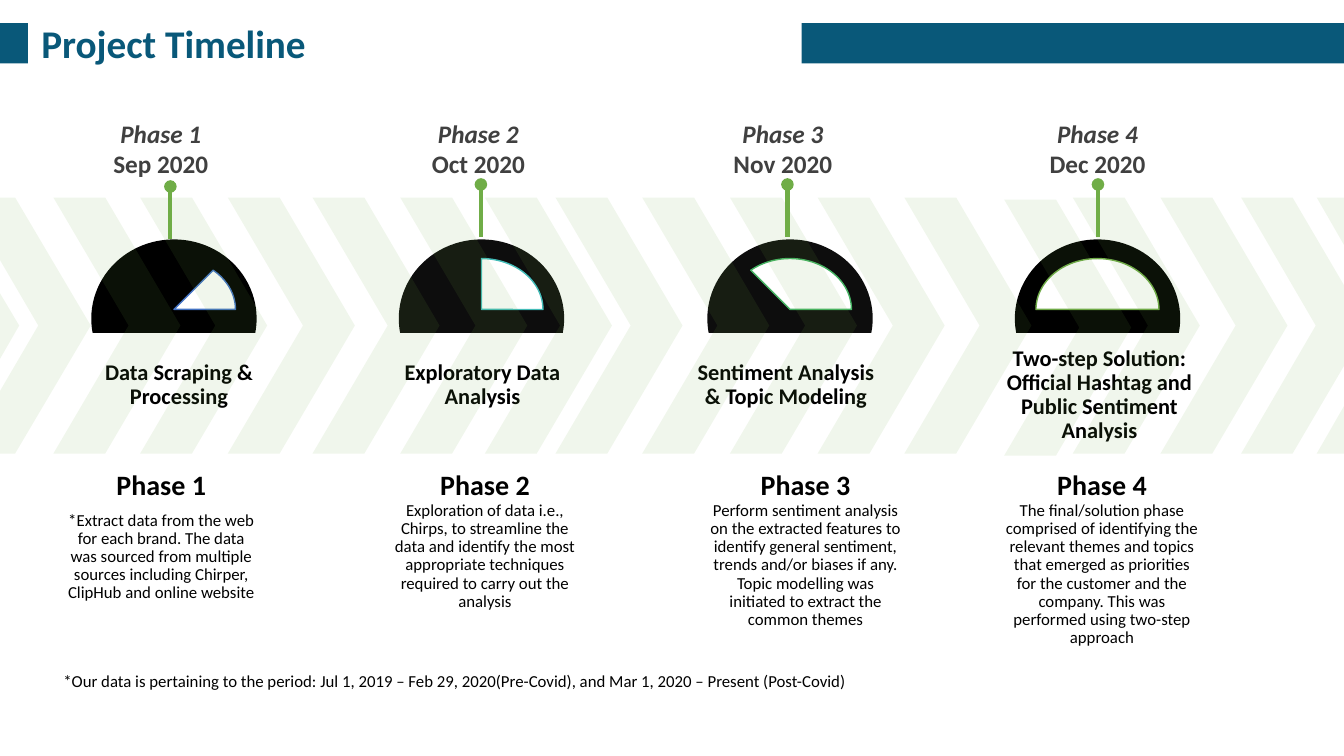
from lxml import etree
from pptx import Presentation, util as u
from pptx.dml.color import RGBColor
from pptx.enum import shapes, text
from pptx.oxml import ns

PX = 9144  # EMU per px, 100 px to the inch
FONT = "Calibri"
TEAL = RGBColor(0x09, 0x58, 0x79)
GREEN = RGBColor(0x70, 0xAD, 0x47)
WHITE = RGBColor(0xFF, 0xFF, 0xFF)
BLACK = RGBColor(0x00, 0x00, 0x00)
NEAR_BLACK = RGBColor(0x0D, 0x0D, 0x0D)
GREY = RGBColor(0x40, 0x40, 0x40)
BLUE = RGBColor(0x43, 0x72, 0xC3)
AQUA = RGBColor(0x43, 0xBC, 0xB8)
EMERALD = RGBColor(0x45, 0xB3, 0x63)
LEAF = RGBColor(0x6F, 0xAA, 0x47)

PRESET = shapes.MSO_SHAPE
CENTER = text.PP_ALIGN.CENTER
MIDDLE = text.MSO_ANCHOR.MIDDLE
TIGHT = {"alignment": CENTER, "line_spacing": 0.9}
CAPTION = {"size": u.Pt(16), "bold": True}
HEADING = {"size": u.Pt(20), "bold": True}
DETAIL = {"size": u.Pt(12), "bold": False}
PHASE = {"size": u.Pt(18), "bold": True, "italic": True, "color": GREY}
MONTH = {**PHASE, "italic": False}

prs = Presentation()
prs.slide_width, prs.slide_height = 1333 * PX, 750 * PX
slide = prs.slides.add_slide(prs.slide_layouts[5])
canvas = slide.shapes


def draw(preset, left, top, width, height, fill, adjust=(), rotation=0):
    """Add a flat, borderless preset shape."""
    item = canvas.add_shape(preset, left * PX, top * PX, width * PX, height * PX)
    item.shadow.inherit = False
    item.fill.solid()
    item.fill.fore_color.rgb = fill
    item.line.fill.background()
    item.rotation = rotation
    for index, value in enumerate(adjust):
        item.adjustments[index] = value
    return item


def write(left, top, width, height, lines, layout, margins=(0, 0), anchor=text.MSO_ANCHOR.TOP):
    """Add a text box holding (wording, font values) lines."""
    frame = canvas.add_textbox(left * PX, top * PX, width * PX, height * PX).text_frame
    frame.word_wrap = True
    frame.vertical_anchor = anchor
    frame.margin_left = frame.margin_right = margins[0] * PX
    frame.margin_top = frame.margin_bottom = margins[1] * PX
    for index, (wording, font) in enumerate(lines):
        line = frame.paragraphs[0] if index == 0 else frame.add_paragraph()
        for name, value in layout.items():
            setattr(line, name, value)
        run = line.add_run()
        run.text = wording
        run.font.name = FONT
        run.font.color.rgb = font.get("color", BLACK)
        for name in font.keys() - {"color"}:
            setattr(run.font, name, font[name])
    return frame


# Header: the bar lies behind the white title panel
header_bar = draw(PRESET.RECTANGLE, 0, 23, 1333, 40, TEAL)
title = canvas.title
title._element.addprevious(header_bar._element)
title.left, title.top, title.width, title.height = 28 * PX, 12 * PX, 767 * PX, 60 * PX
title.fill.solid()
title.fill.fore_color.rgb = WHITE
title_frame = title.text_frame
title_frame.text = "Project Timeline"
for name, value in {"margin_left": 13 * PX, "margin_right": 13 * PX, "margin_top": 7 * PX,
                    "margin_bottom": 7 * PX, "vertical_anchor": MIDDLE, "word_wrap": True,
                    "auto_size": text.MSO_AUTO_SIZE.NONE}.items():
    setattr(title_frame, name, value)
title_frame.paragraphs[0].alignment = text.PP_ALIGN.LEFT
title_font = title_frame.paragraphs[0].runs[0].font
title_font.name, title_font.size, title_font.bold = FONT, u.Pt(28), True
title_font.color.rgb = TEAL

# Phases: dial colour, sector outline, caption (x, y, lines), detail (x, wording),
# date (x, wording), pin (x, y)
phases = [
    (BLACK, BLUE, (79, 353, ["Data Scraping & Processing"]),
     (63, "*Extract data from the web for each brand. The data was sourced from multiple "
          "sources including Chirper, ClipHub and online website"),
     (38, "Sep 2020"), (169, 185)),
    (NEAR_BLACK, AQUA, (380, 353, ["Exploratory Data Analysis"]),
     (384, "Exploration of data i.e., Chirps, to streamline the data and identify the most "
           "appropriate techniques required to carry out the analysis"),
     (353, "Oct 2020"), (477, 183)),
    (NEAR_BLACK, EMERALD, (681, 353, ["Sentiment Analysis", "& Topic Modeling"]),
     (702, "Perform sentiment analysis on the extracted features to identify general "
           "sentiment, trends and/or biases if any. Topic modelling was initiated to "
           "extract the common themes"),
     (655, "Nov 2020"), (781, 183)),
    (BLACK, LEAF, (992, 363, ["Two-step Solution: Official Hashtag and Public Sentiment Analysis"]),
     (996, "The final/solution phase comprised of identifying the relevant themes and topics "
           "that emerged as priorities for the customer and the company. This was performed "
           "using two-step approach"),
     (967, "Dec 2020"), (1089, 183)),
]

# Dials with captions and details; each sector is 45 degrees wider than the last
for index, (dial, outline, caption, detail, _, _) in enumerate(phases):
    dial_left = 94 + round(305.4 * index)
    draw(PRESET.CHORD, dial_left, 234, 157, 164, dial, (48, 168), 90)
    sector = draw(PRESET.PIE, dial_left + 28, 246, 101, 122, WHITE, (135 - 27 * index, 162), 90)
    sector.line.color.rgb = outline
    sector.line.width = u.Pt(1)
    caption_left, caption_top, caption_lines = caption
    write(caption_left, caption_top, 197, 58, [(line, CAPTION) for line in caption_lines],
          TIGHT, anchor=MIDDLE)
    detail_left, wording = detail
    detail_frame = write(detail_left, 468, 194, 157,
                         [(f"Phase {index + 1}", HEADING), (wording, DETAIL)], TIGHT)
    if index == 0:
        detail_frame.paragraphs[1].space_before = u.Pt(7)

# Chevron band, with the pieces cut off at the slide edges
band = [draw(PRESET.CHEVRON, left, 196, 126, 254, GREEN, (0.592,))
        for left in (53, 139, 226, 310, 397, 481, 551, 637, 724, 811, 897, 996, 1064, 1151)]
band[11].top = 198 * PX
edge_pieces = [
    [[(0, 196), (15, 196), (90, 323), (15, 450), (0, 450), (0, 388), (38, 323), (0, 258)]],
    [[(1231, 196), (1282, 196), (1333, 283), (1333, 363), (1282, 450), (1231, 450), (1305, 323)]],
    [[(1333, 403), (1333, 450), (1306, 450)], [(1306, 196), (1333, 196), (1333, 243)]],
    [[(0, 291), (19, 323), (0, 356)]],
]
for contours in edge_pieces:
    builder = canvas.build_freeform(*contours[0][0], scale=PX)
    builder.add_line_segments(contours[0][1:], close=True)
    for contour in contours[1:]:
        builder.move_to(*contour[0])
        builder.add_line_segments(contour[1:], close=True)
    piece = builder.convert_to_shape()
    piece.shadow.inherit = False
    piece.fill.solid()
    piece.fill.fore_color.rgb = GREEN
    piece.line.fill.background()
    band.append(piece)
for piece in band:
    colour = piece._element.spPr.find(ns.qn("a:solidFill"))[0]
    etree.SubElement(colour, ns.qn("a:alpha"), val="10000")

# Pins and dates
for number, (*_, date, pin) in enumerate(phases, 1):
    pin_x, pin_y = pin
    stem = canvas.add_connector(shapes.MSO_CONNECTOR.STRAIGHT, pin_x * PX, pin_y * PX,
                                pin_x * PX, (pin_y + 52) * PX)
    stem.line.color.rgb = GREEN
    stem.line.width = u.Pt(3)
    etree.SubElement(stem.line._get_or_add_ln(), ns.qn("a:headEnd"), type="oval")
    etree.SubElement(stem._element.spPr, ns.qn("a:effectLst"))
    date_left, month = date
    write(date_left, 112, 243, 71, [(f"Phase {number}", PHASE), (month, MONTH)],
          {"alignment": CENTER}, (10, 5))

# Footnote
write(53, 661, 1269, 30,
      [("*Our data is pertaining to the period: Jul 1, 2019 – Feb 29, 2020(Pre-Covid), "
        "and Mar 1, 2020 – Present (Post-Covid)", DETAIL)], {}, (10, 5))

prs.save("out.pptx")
